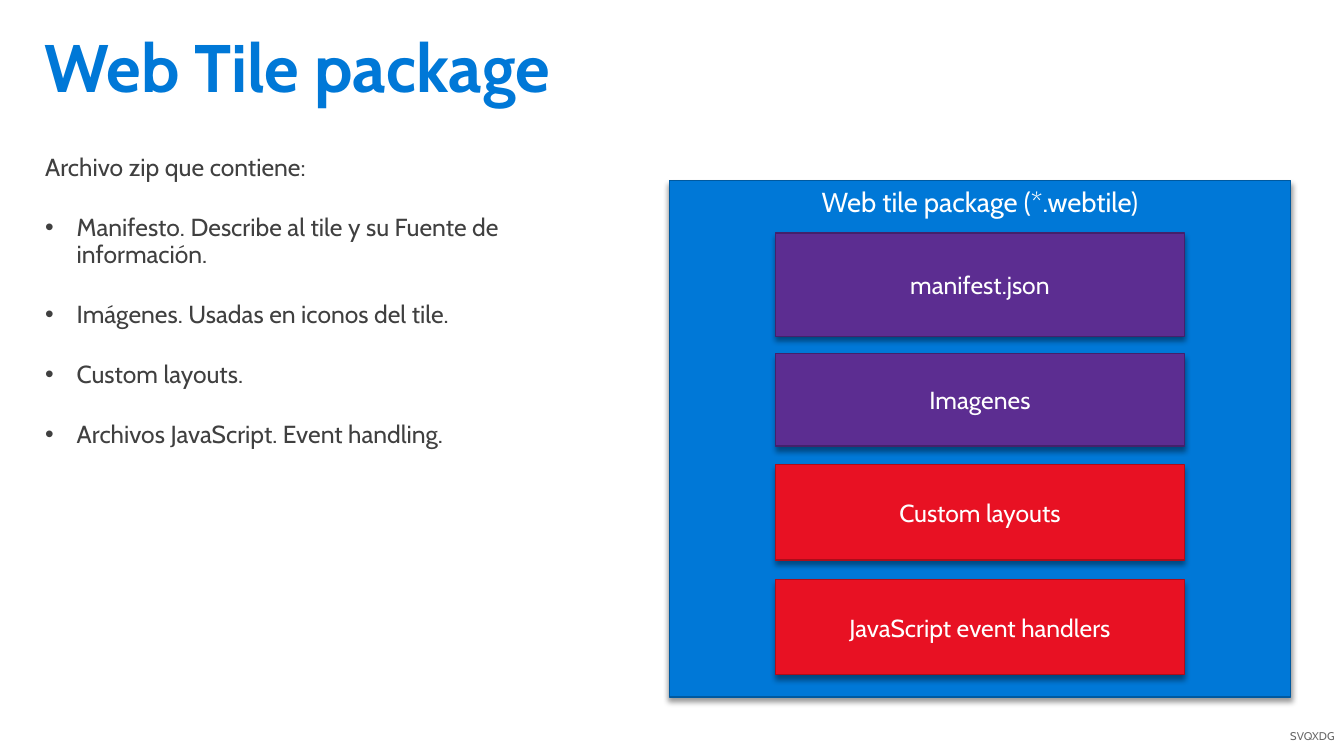
import pptx
import pptx.util
import pptx.dml.color
import pptx.enum.shapes
import pptx.enum.text
import pptx.oxml
import pptx.oxml.ns
import lxml.etree

Pt = pptx.util.Pt
ALIGN = pptx.enum.text.PP_ALIGN
ANCHOR = pptx.enum.text.MSO_ANCHOR

TITLE = "Web Tile package"
INTRO = "Archivo zip que contiene:"
ITEMS = [
    "Manifesto. Describe al tile y su Fuente de información.",
    "Imágenes. Usadas en iconos del tile.",
    "Custom layouts.",
    "Archivos JavaScript. Event handling.",
]
TAG = "SVQXDG"
BLUE = ("0078D7", "00599F")
PURPLE = ("5C2D91", "44216B")
RED = ("E81123", "AC0D1A")
PACKAGE = "Web tile package (*.webtile)"
FRAME = (478, 129, 444, 369)
# label, (fill, line), top, height
PARTS = [
    ("manifest.json", PURPLE, 166.3, 74),
    ("Imagenes", PURPLE, 252.7, 65.8),
    ("Custom layouts", RED, 331.9, 68),
    ("JavaScript event handlers", RED, 414, 68),
]
WIDTH = 292
INDENT = 22.5
PAD = {"margin_left": Pt(10.8), "margin_right": Pt(10.8),
       "margin_top": Pt(8.64), "margin_bottom": Pt(8.64)}


def color(code):
    return pptx.dml.color.RGBColor.from_string(code)


def place(shape, left, top, width, height):
    spots = {"left": left, "top": top, "width": width, "height": height}
    for name, value in spots.items():
        setattr(shape, name, Pt(value))


def write(par, text, size, code, bold=False, **form):
    par.text = text
    for name, value in form.items():
        setattr(par, name, value)
    looks = {"name": "Cabin", "size": Pt(size), "bold": bold}
    for name, value in looks.items():
        setattr(par.runs[0].font, name, value)
    par.runs[0].font.color.rgb = color(code)


def setup(frame, **form):
    frame.word_wrap = True
    frame.auto_size = pptx.enum.text.MSO_AUTO_SIZE.NONE
    for name, value in form.items():
        setattr(frame, name, value)


def bullet(par, mark):
    props = par._p.get_or_add_pPr()
    step = Pt(INDENT if mark else 0)
    props.set("marL", str(step))
    props.set("indent", str(-step))
    kind = "a:buChar" if mark else "a:buNone"
    node = lxml.etree.SubElement(props, pptx.oxml.ns.qn(kind))
    if mark:
        node.set("char", mark)


def shade(shape):
    """Give the shape a soft shadow straight below it."""
    shape.shadow.inherit = False
    effects = shape._element.spPr.find(pptx.oxml.ns.qn("a:effectLst"))
    effects.append(pptx.oxml.parse_xml(
        f'<a:outerShdw {pptx.oxml.ns.nsdecls("a")} blurRad="{Pt(4)}" '
        f'dist="{Pt(3)}" dir="5400000" rotWithShape="0">'
        '<a:srgbClr val="000000"><a:alpha val="40000"/></a:srgbClr>'
        '</a:outerShdw>'))


def block(slide, spot, text, tones, size, anchor):
    kind = pptx.enum.shapes.MSO_SHAPE.RECTANGLE
    shape = slide.shapes.add_shape(kind, *map(Pt, spot))
    shape.fill.solid()
    shape.fill.fore_color.rgb = color(tones[0])
    shape.line.color.rgb = color(tones[1])
    shape.line.width = Pt(1)
    shade(shape)
    setup(shape.text_frame, vertical_anchor=anchor)
    write(shape.text_frame.paragraphs[0], text, size, "FFFFFF",
          alignment=ALIGN.CENTER)


def main():
    deck = pptx.Presentation()
    deck.slide_width, deck.slide_height = Pt(960), Pt(540)
    slide = deck.slides.add_slide(deck.slide_layouts[1])

    title = slide.shapes.title
    place(title, 21, 16, 917, 77)
    setup(title.text_frame, vertical_anchor=ANCHOR.TOP, **PAD)
    write(title.text_frame.paragraphs[0], TITLE, 48, BLUE[0], True,
          alignment=ALIGN.LEFT, line_spacing=0.9)

    body = slide.placeholders[1]
    place(body, 21.5, 102, 411, 415)
    frame = body.text_frame
    setup(frame, vertical_anchor=ANCHOR.TOP, **PAD)
    for rank, text in enumerate([INTRO] + ITEMS):
        par = frame.add_paragraph() if rank else frame.paragraphs[0]
        bullet(par, "•" if rank else "")
        write(par, text, 17.6, "404040", line_spacing=0.9,
              space_before=Pt(24 if rank else 0))

    block(slide, FRAME, PACKAGE, BLUE, 19.6, ANCHOR.TOP)
    left = FRAME[0] + (FRAME[2] - WIDTH) / 2
    for text, tones, top, height in PARTS:
        block(slide, (left, top, WIDTH, height), text, tones, 17.6,
              ANCHOR.MIDDLE)

    tag = slide.shapes.add_textbox(Pt(829.5), Pt(513.4), Pt(131), Pt(24))
    setup(tag.text_frame, vertical_anchor=ANCHOR.MIDDLE)
    write(tag.text_frame.paragraphs[0], TAG, 8, "666666",
          alignment=ALIGN.RIGHT)

    deck.save("out.pptx")


if __name__ == "__main__":
    main()
